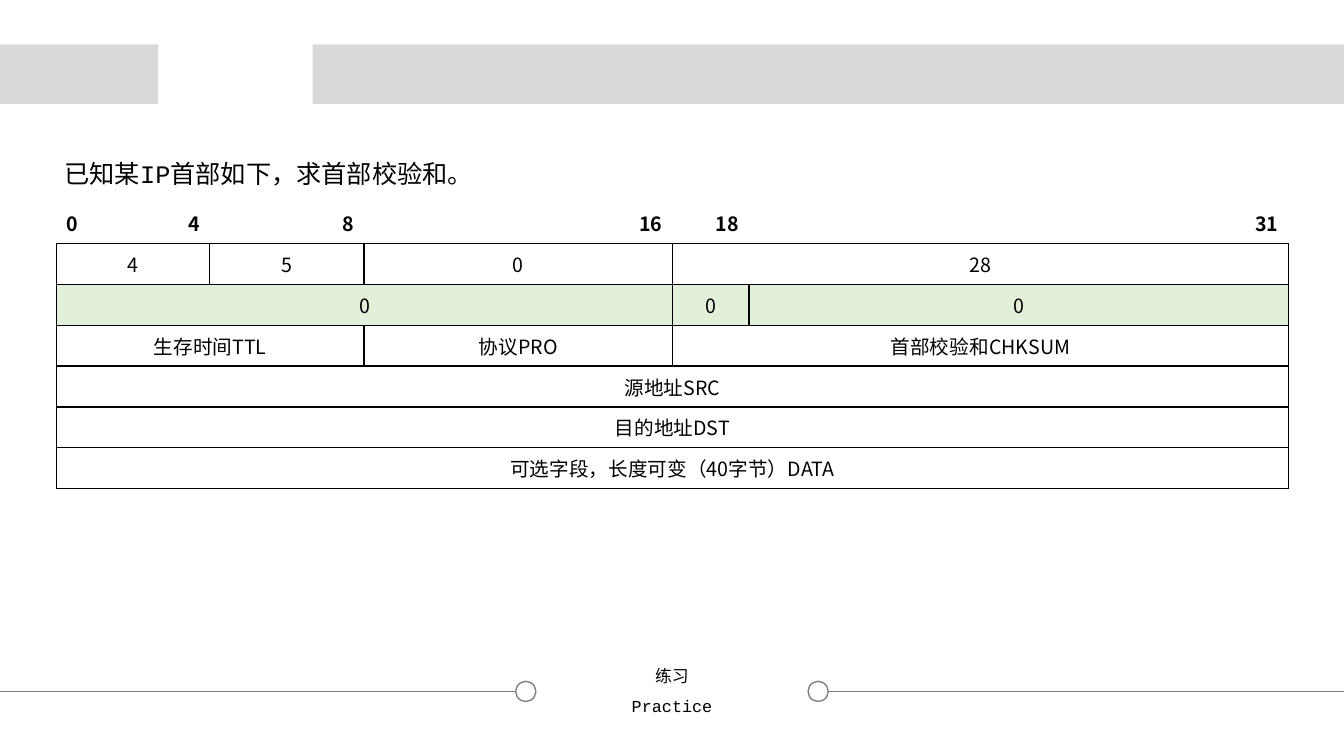
import pptx
import pptx.dml.color
import pptx.enum.shapes
import pptx.enum.text
import pptx.oxml
import pptx.oxml.ns
import pptx.util

Inches, Pt = pptx.util.Inches, pptx.util.Pt
SHAPE = pptx.enum.shapes.MSO_SHAPE
ALIGN = pptx.enum.text.PP_ALIGN
ANCHOR = pptx.enum.text.MSO_ANCHOR
AUTO = pptx.enum.text.MSO_AUTO_SIZE
qn = pptx.oxml.ns.qn

W, H = 13.33, 7.5
SANS, MONO = "Noto Sans CJK SC", "Courier New"
BLACK, GREY, BAND, GREEN = "000000", "808080", "D9D9D9", "E2F0D9"

# 32-bit header: one column for each group of bits
COLUMNS = [0.76, 0.76, 1.53, 3.06, 0.76, 5.35]
BIT_MARKS = ["0", "4", "8", "16", "18", "31"]
# each field: text, columns spanned
FIELD_ROWS = [
    [("4", 2), ("5", 1), ("0", 1), ("28", 2)],
    [("0", 4), ("0", 1), ("0", 1)],
    [("生存时间TTL", 3), ("协议PRO", 1), ("首部校验和CHKSUM", 2)],
    [("源地址SRC", 6)],
    [("目的地址DST", 6)],
    [("可选字段，长度可变（40字节）DATA", 6)],
]
SHADED_ROW = 2


def rgb(hex_colour):
    return pptx.dml.color.RGBColor.from_string(hex_colour)


def inches(*lengths):
    return [Inches(n) for n in lengths]


def write(tf, text, size, font, align=None, bold=False):
    p = tf.paragraphs[0]
    if align is not None:
        p.alignment = align
    r = p.add_run()
    r.text = text
    for name, value in {"size": Pt(size), "name": font, "bold": bold}.items():
        setattr(r.font, name, value)
    r.font.color.rgb = rgb(BLACK)
    ea = r.font._element.makeelement(qn("a:ea"), {"typeface": SANS})
    r.font._element.find(qn("a:latin")).addnext(ea)
    return p


def add_bands(slide, top, height, gap_left, gap_right):
    """Grey band across the slide, with a gap."""
    for left, right in [(gap_right, W), (0, gap_left)]:
        sp = slide.shapes.add_shape(SHAPE.RECTANGLE, *inches(left, top, right - left, height))
        sp.shadow.inherit = False
        sp.fill.solid()
        sp.fill.fore_color.rgb = rgb(BAND)
        sp.line.fill.background()


def add_footer(slide, y, half_gap, size):
    """Two lines ending in rings, either side of the centred name."""
    for side, edge in [(1, W), (-1, 0)]:
        ring_x = W / 2 + side * half_gap
        sp = slide.shapes.add_shape(
            SHAPE.OVAL, *inches(ring_x - size / 2, y - size / 2, size, size))
        sp.shadow.inherit = False
        sp.fill.background()
        line = slide.shapes.add_connector(
            pptx.enum.shapes.MSO_CONNECTOR.STRAIGHT,
            *inches(ring_x + side * size / 2, y, edge, y))
        line._element.spPr.append(pptx.oxml.parse_xml(
            f"<a:effectLst {pptx.oxml.ns.nsdecls('a')}/>"))
        for shape, width in [(sp, 1), (line, 0.5)]:
            shape.line.color.rgb = rgb(GREY)
            shape.line.width = Pt(width)

    for text, font, width, top in [("练习", SANS, 0.54, y - 0.3),
                                   ("Practice", MONO, 1.02, y - 0.01)]:
        box = slide.shapes.add_textbox(*inches(W / 2 - width / 2, top, width, 0.3))
        tf = box.text_frame
        tf.word_wrap = False
        tf.auto_size = AUTO.SHAPE_TO_FIT_TEXT
        write(tf, text, 12, font, ALIGN.CENTER)


def add_question(slide, left, top, width, height):
    body = slide.placeholders[1]
    for name, value in zip(("left", "top", "width", "height"),
                           inches(left, top, width, height)):
        setattr(body, name, value)
    body.text_frame.auto_size = AUTO.SHAPE_TO_FIT_TEXT
    p = write(body.text_frame, "已知某IP首部如下，求首部校验和。", 18, MONO, ALIGN.LEFT)
    pPr = p._p.get_or_add_pPr()
    for name in ("marL", "indent"):
        pPr.set(name, "0")
    pPr.append(pPr.makeelement(qn("a:buNone"), {}))
    p.space_before = Pt(0)


def format_cell(cell, edges, fill=None):
    """Draw the named edges, clear the others, and set the fill."""
    cell.vertical_anchor = ANCHOR.MIDDLE
    tcPr = cell._tc.get_or_add_tcPr()
    for edge in "LRTB":
        paint = (f'<a:solidFill><a:srgbClr val="{BLACK}"/></a:solidFill>'
                 if edge in edges else "<a:noFill/>")
        tcPr.append(pptx.oxml.parse_xml(
            f'<a:ln{edge} {pptx.oxml.ns.nsdecls("a")} w="{Pt(1)}">{paint}</a:ln{edge}>'))
    if fill:
        cell.fill.solid()
        cell.fill.fore_color.rgb = rgb(fill)
    else:
        cell.fill.background()


def add_header_table(slide, left, top, height):
    rows = len(FIELD_ROWS) + 1
    frame = slide.shapes.add_table(
        rows, len(COLUMNS), *inches(left, top, sum(COLUMNS), height))
    table = frame.table
    table.first_row = table.horz_banding = False
    for column, width in zip(table.columns, COLUMNS):
        column.width = Inches(width)
    for row in table.rows:
        row.height = Inches(height / rows)

    for c, mark in enumerate(BIT_MARKS):
        cell = table.cell(0, c)
        format_cell(cell, "B")
        write(cell.text_frame, mark, 14, SANS, ALIGN.RIGHT if c else ALIGN.LEFT, True)

    for r, fields in enumerate(FIELD_ROWS, 1):
        for c in range(len(COLUMNS)):
            format_cell(table.cell(r, c), "LRTB", GREEN if r == SHADED_ROW else None)
        c = 0
        for text, span in fields:
            cell = table.cell(r, c)
            if span > 1:
                cell.merge(table.cell(r, c + span - 1))
            write(cell.text_frame, text, 14, SANS, ALIGN.CENTER)
            c += span


def main():
    prs = pptx.Presentation()
    prs.slide_width, prs.slide_height = inches(W, H)
    slide = prs.slides.add_slide(prs.slide_layouts[1])
    title = slide.shapes.title._element
    title.getparent().remove(title)
    add_footer(slide, 6.86, 1.45, 0.2)
    add_bands(slide, 0.44, 0.59, 1.57, 3.1)
    add_question(slide, 0.54, 1.52, 12.25, 0.4)
    add_header_table(slide, 0.56, 2.01, 2.84)
    prs.save("out.pptx")


if __name__ == "__main__":
    main()
